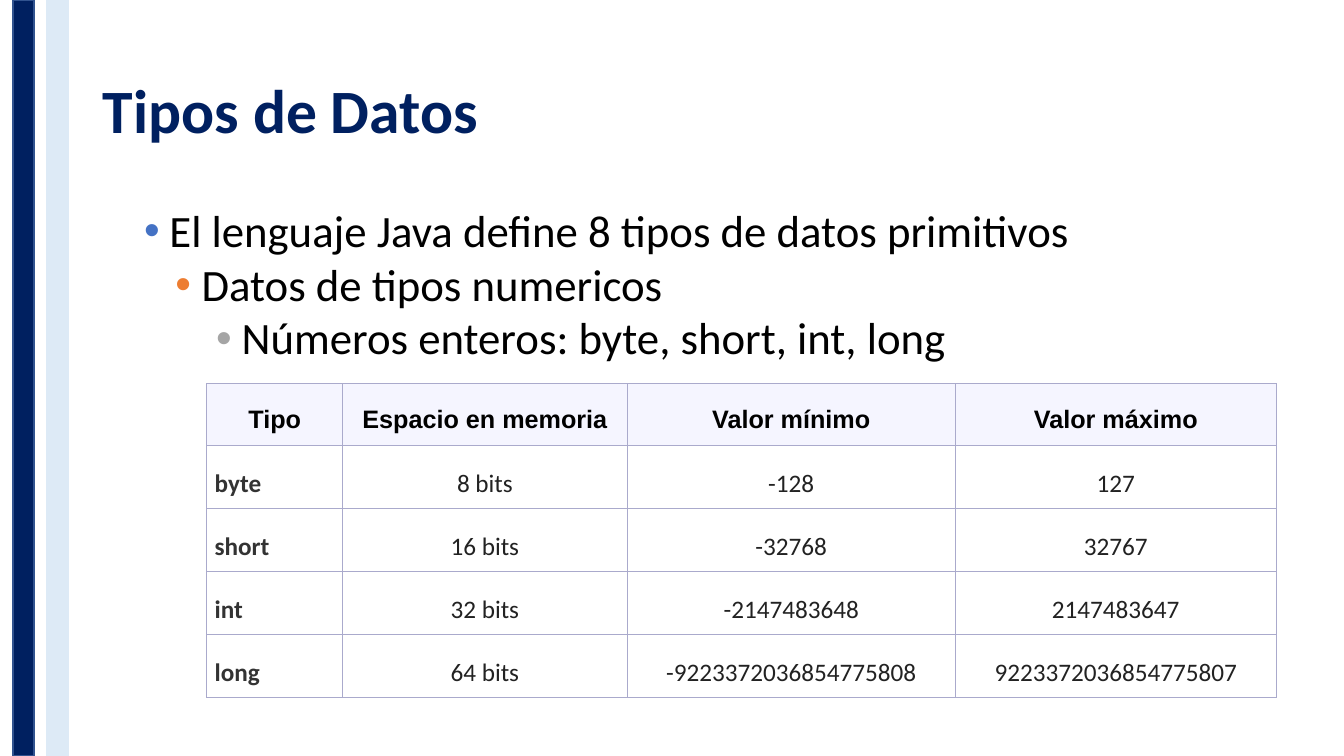
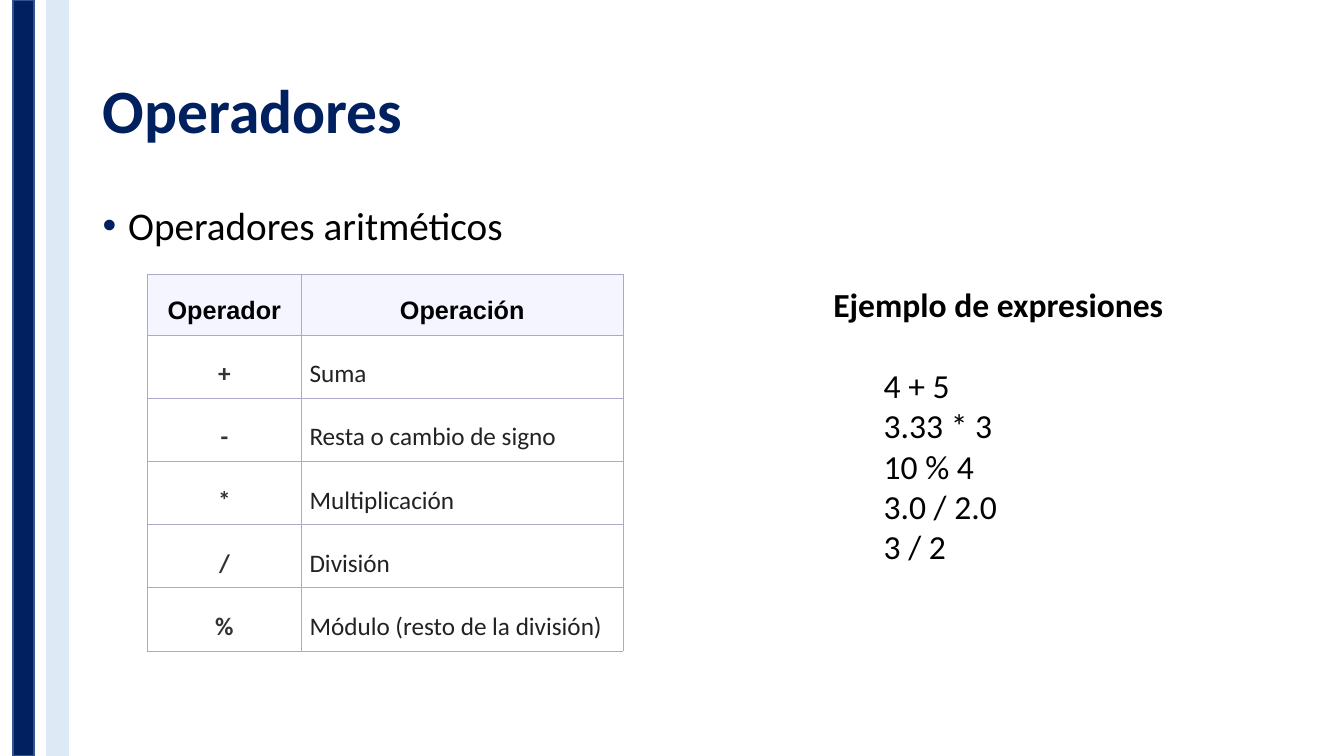
from dataclasses import dataclass

from lxml.etree import SubElement
from pptx import Presentation
from pptx.dml.color import RGBColor
from pptx.enum.shapes import MSO_SHAPE as Preset
from pptx.enum.text import MSO_ANCHOR as Anchor
from pptx.enum.text import MSO_AUTO_SIZE as AutoSize
from pptx.enum.text import PP_ALIGN as Align
from pptx.oxml import parse_xml
from pptx.oxml.ns import nsdecls, qn
from pptx.util import Cm, Pt


@dataclass(frozen=True)
class Theme:
    navy: str = "002060"
    navy_edge: str = "31538F"
    pale_blue: str = "DDEAF6"
    black: str = "000000"
    bullet_blue: str = "4472C4"
    bullet_orange: str = "ED7D31"
    bullet_gray: str = "A5A5A5"
    header_fill: str = "F5F5FF"
    grid: str = "AAAACC"
    key_text: str = "333333"
    cell_text: str = "222222"
    body_font: str = "Calibri"
    header_font: str = "Arial"
    title_size: int = 44
    outline_size: int = 32
    topic_size: int = 28
    example_size: int = 24
    table_size: int = 18
    grid_width: float = 0.75


THEME = Theme()
SLIDE_WIDTH, SLIDE_HEIGHT = Cm(33.87), Cm(19.05)
HEADER_HEIGHT, ROW_HEIGHT = Cm(1.49), Cm(1.59)
BAND_WIDTH = Cm(0.53)


@dataclass(frozen=True)
class Bullet:
    text: str
    color: str
    margin: float
    hanging: float = 0.64
    space_before: float = 0


def rgb(color):
    return RGBColor.from_string(color)


def style_text(para, size, color=THEME.black, bold=False, name=THEME.body_font):
    for span in para.runs:
        span.font.size = Pt(size)
        span.font.name = name
        span.font.bold = bold
        span.font.color.rgb = rgb(color)


def move_bands_to_layout(page, layout):
    bands = (
        (0.33, THEME.navy, THEME.navy_edge),
        (1.19, THEME.pale_blue, THEME.pale_blue),
    )
    for left, fill, edge in bands:
        band = page.shapes.add_shape(Preset.RECTANGLE, Cm(left), 0, BAND_WIDTH, SLIDE_HEIGHT)
        band.shadow.inherit = False
        band.fill.solid()
        band.fill.fore_color.rgb = rgb(fill)
        band.line.color.rgb = rgb(edge)
        band.line.width = Pt(1)
        layout.shapes.element.append(band.element)


def add_page(deck, layout, title):
    page = deck.slides.add_slide(layout)
    box = page.shapes.title
    box.left, box.top, box.width, box.height = Cm(2.34), Cm(1.02), Cm(29.21), Cm(3.68)
    frame = box.text_frame
    frame.text = title
    frame.auto_size = AutoSize.NONE
    frame.vertical_anchor = Anchor.MIDDLE
    para = frame.paragraphs[0]
    para.alignment = Align.LEFT
    para.line_spacing = 0.9
    style_text(para, THEME.title_size, THEME.navy, bold=True)
    return page


def add_text_box(page, left, top, width, height, lines):
    box = page.shapes.add_textbox(Cm(left), Cm(top), Cm(width), Cm(height))
    frame = box.text_frame
    frame.word_wrap = True
    frame.text = "\n".join(lines)
    return frame


def set_indent(para, margin, hanging=0):
    properties = para._p.get_or_add_pPr()
    properties.set("marL", str(Cm(margin)))
    properties.set("indent", str(-Cm(hanging)))
    return properties


def add_bullets(page, left, top, width, height, bullets, size):
    frame = add_text_box(page, left, top, width, height, [bullet.text for bullet in bullets])
    for level, (para, bullet) in enumerate(zip(frame.paragraphs, bullets)):
        para.level = level
        para.line_spacing = 0.9
        if bullet.space_before:
            para.space_before = Pt(bullet.space_before)
        properties = set_indent(para, bullet.margin, bullet.hanging)
        color = SubElement(properties, qn("a:buClr"))
        SubElement(color, qn("a:srgbClr"), val=bullet.color)
        SubElement(properties, qn("a:buFont"), typeface="Arial")
        SubElement(properties, qn("a:buChar"), char="•")
        style_text(para, size)


def add_borders(cell):
    properties = cell._tc.get_or_add_tcPr()
    for index, side in enumerate("LRTB"):
        border = parse_xml(
            f'<a:ln{side} {nsdecls("a")} w="{Pt(THEME.grid_width)}"><a:solidFill>'
            f'<a:srgbClr val="{THEME.grid}"/></a:solidFill></a:ln{side}>'
        )
        properties.insert(index, border)


def fill_cell(cell, text, align, is_header, is_key):
    cell.margin_left = cell.margin_right = Cm(0.2)
    cell.margin_top = cell.margin_bottom = Cm(0.2)
    cell.text_frame.text = text
    para = cell.text_frame.paragraphs[0]
    para.line_spacing = 1.5
    para.alignment = Align.CENTER if is_header else align
    if is_header:
        cell.fill.solid()
        cell.fill.fore_color.rgb = rgb(THEME.header_fill)
        style_text(para, THEME.table_size, bold=True, name=THEME.header_font)
    else:
        cell.fill.background()
        color = THEME.key_text if is_key else THEME.cell_text
        style_text(para, THEME.table_size, color, bold=is_key)
    add_borders(cell)


def add_grid(page, left, top, widths, aligns, rows):
    height = HEADER_HEIGHT + ROW_HEIGHT * (len(rows) - 1)
    grid = page.shapes.add_table(
        len(rows), len(widths), Cm(left), Cm(top), Cm(sum(widths)), height
    ).table
    grid.first_row = grid.horz_banding = False
    for column, width in zip(grid.columns, widths):
        column.width = Cm(width)
    for row_index, texts in enumerate(rows):
        grid.rows[row_index].height = ROW_HEIGHT if row_index else HEADER_HEIGHT
        for column_index, (text, align) in enumerate(zip(texts, aligns)):
            cell = grid.cell(row_index, column_index)
            fill_cell(cell, text, align, row_index == 0, column_index == 0)


def add_examples(page, heading, expressions):
    frame = add_text_box(page, 20.75, 6.91, 9.88, 4.57, [heading, *expressions])
    frame.margin_left = frame.margin_right = Cm(0.25)
    frame.margin_top = frame.margin_bottom = Cm(0.25)
    title, *items = frame.paragraphs
    style_text(title, THEME.example_size, bold=True)
    items[0].space_before = Pt(29)
    for para in items:
        set_indent(para, 1.27)
        style_text(para, THEME.example_size)


def build_data_types(page):
    bullets = (
        Bullet("El lenguaje Java define 8 tipos de datos primitivos", THEME.bullet_blue, 0.97),
        Bullet("Datos de tipos numericos", THEME.bullet_orange, 1.78, 0.66, 4),
        Bullet("Números enteros: byte, short, int, long", THEME.bullet_gray, 2.79, 0.64, 3.6),
    )
    add_bullets(page, 3.05, 5.13, 28.45, 12.65, bullets, THEME.outline_size)
    rows = (
        ("Tipo", "Espacio en memoria", "Valor mínimo", "Valor máximo"),
        ("byte", "8 bits", "-128", "127"),
        ("short", "16 bits", "-32768", "32767"),
        ("int", "32 bits", "-2147483648", "2147483647"),
        ("long", "64 bits", "-9223372036854775808", "9223372036854775807"),
    )
    aligns = (Align.LEFT, Align.CENTER, Align.CENTER, Align.CENTER)
    add_grid(page, 5.21, 9.67, (3.43, 7.16, 8.28, 8.08), aligns, rows)


def build_operators(page):
    bullets = (Bullet("Operadores aritméticos", THEME.navy, 0.64),)
    add_bullets(page, 2.34, 5.08, 29.21, 12.09, bullets, THEME.topic_size)
    rows = (
        ("Operador", "Operación"),
        ("+", "Suma"),
        ("-", "Resta o cambio de signo"),
        ("*", "Multiplicación"),
        ("/", "División"),
        ("%", "Módulo (resto de la división)"),
    )
    add_grid(page, 3.71, 6.91, (3.89, 8.1), (Align.CENTER, Align.LEFT), rows)
    expressions = ("4 + 5", "3.33 * 3", "10 % 4", "3.0 / 2.0", "3 / 2")
    add_examples(page, "Ejemplo de expresiones", expressions)


def main():
    deck = Presentation()
    deck.slide_width, deck.slide_height = SLIDE_WIDTH, SLIDE_HEIGHT
    layout = deck.slide_layouts.get_by_name("Title Only")
    data_types = add_page(deck, layout, "Tipos de Datos")
    move_bands_to_layout(data_types, layout)
    build_data_types(data_types)
    build_operators(add_page(deck, layout, "Operadores"))
    deck.save("out.pptx")


if __name__ == "__main__":
    main()
